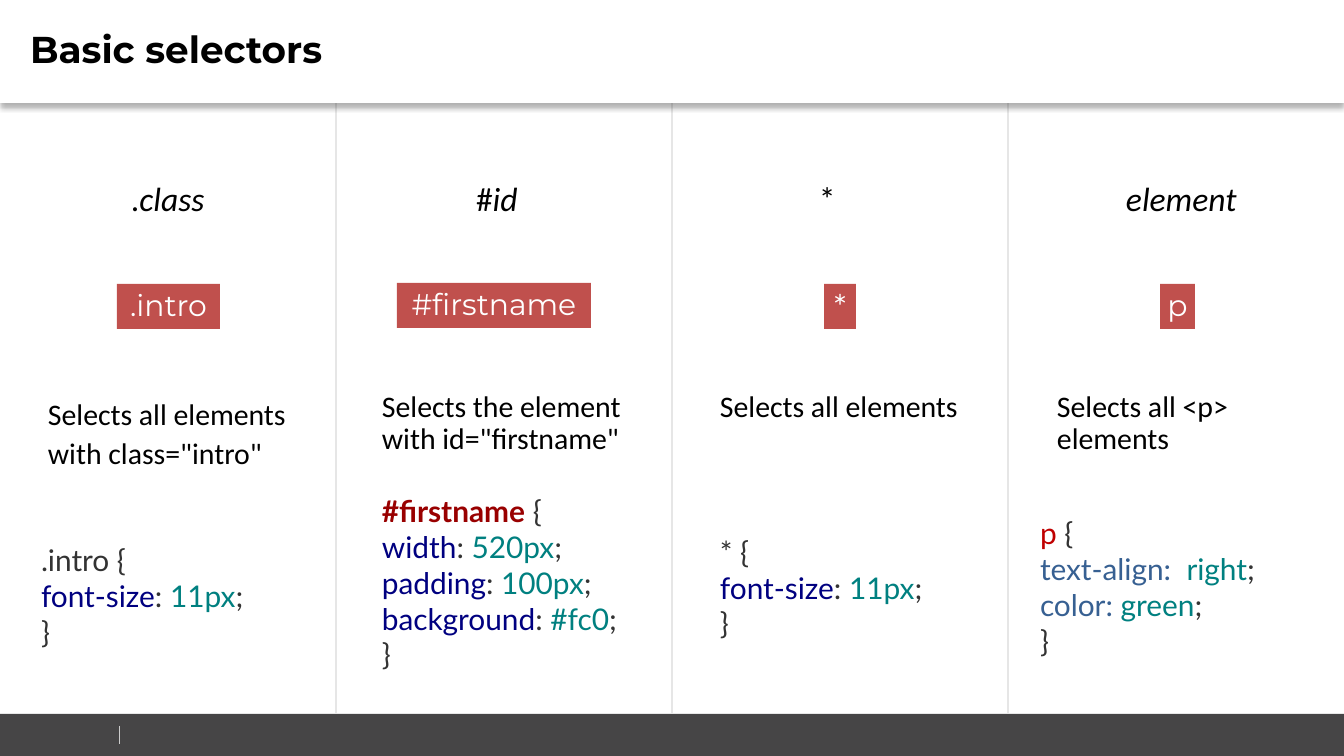
from lxml.etree import SubElement
from pptx import Presentation
from pptx.dml.color import RGBColor
from pptx.enum.shapes import MSO_CONNECTOR as Connector, MSO_SHAPE as Shape
from pptx.enum.text import MSO_ANCHOR as Anchor, MSO_AUTO_SIZE as AutoSize, PP_ALIGN as Align
from pptx.oxml.ns import qn
from pptx.util import Pt

PX = 914400 / 134.4
BLACK, WHITE, DARK, RED = "000000", "FFFFFF", "333333", "C0504D"
NAVY, TEAL, BLUE = "000080", "008080", "376092"
COLUMN = 336
HEADER_HEIGHT, FOOTER_TOP = 103, 714


def px(value):
    return round(value * PX)


def color(hex_text):
    return RGBColor.from_string(hex_text)


def rule(name, value, name_color=NAVY):
    """The spans of one CSS declaration."""
    return [(name, name_color), (": ", DARK), (value, TEAL), (";", DARK)]


def write(para, spans, size=16, font="Calibri", align=Align.LEFT, spacing=1.0, before=0):
    """Fill a paragraph with (text, colour, bold, italic) spans."""
    para.alignment, para.line_spacing, para.space_before = align, spacing, Pt(before)
    properties = para._p.get_or_add_pPr()
    properties.set("marL", "0")
    properties.set("indent", "0")
    SubElement(properties, qn("a:buNone"))
    for text, hex_text, *style in spans:
        bold, italic = (style + [False, False])[:2]
        span = para.add_run()
        span.text = text
        span.font.name, span.font.size = font, Pt(size)
        span.font.bold, span.font.italic = bold, italic
        span.font.color.rgb = color(hex_text)


class SelectorSlide:
    def __init__(self, deck):
        self.page = deck.slides.add_slide(deck.slide_layouts[4])
        self.shapes = self.page.shapes

    def frame(self, shape, insets, anchor=Anchor.TOP, wrap=True):
        frame = shape.text_frame
        frame.auto_size, frame.word_wrap, frame.vertical_anchor = AutoSize.NONE, wrap, anchor
        (frame.margin_left, frame.margin_top,
         frame.margin_right, frame.margin_bottom) = map(px, insets)
        return frame

    def place(self, shape, left, top, width, height):
        shape.left, shape.top = px(left), px(top)
        shape.width, shape.height = px(width), px(height)

    def block(self, left, top, width, height, hex_text):
        box = self.shapes.add_shape(Shape.RECTANGLE, *map(px, (left, top, width, height)))
        box.shadow.inherit = False
        box.fill.solid()
        box.fill.fore_color.rgb = color(hex_text)
        box.line.fill.background()
        return box

    def vertical(self, left, top, bottom, hex_text, weight):
        line = self.shapes.add_connector(Connector.STRAIGHT, *map(px, (left, top, left, bottom)))
        line.line.color.rgb, line.line.width = color(hex_text), Pt(weight)
        SubElement(line._element.spPr, qn("a:effectLst"))

    def title(self, text):
        title = self.shapes.title
        self.place(title, 0, 0, 4 * COLUMN, HEADER_HEIGHT)
        title.fill.solid()
        title.fill.fore_color.rgb = color(WHITE)
        effects = SubElement(title._element.spPr, qn("a:effectLst"))
        shadow = SubElement(effects, qn("a:outerShdw"), blurRad=str(Pt(3.1)),
                            dist=str(Pt(2)), dir="5400000", rotWithShape="0")
        tint = SubElement(shadow, qn("a:srgbClr"), val=BLACK)
        SubElement(tint, qn("a:alpha"), val="29000")
        frame = self.frame(title, (30, 4, 8, 4), Anchor.MIDDLE)
        write(frame.paragraphs[0], [(text, BLACK, True)], 20, "Montserrat", spacing=0.9)
        self.shapes._spTree.append(title._element)  # above the column lines

    def heading(self, left, width, spans):
        box = self.shapes.add_textbox(*map(px, (left, 173, width, 51)))
        write(self.frame(box, (10, 5, 10, 5), wrap=False).paragraphs[0], spans, 18)

    def badge(self, left, top, width, text):
        box = self.block(left, top, width, 45, RED)
        frame = self.frame(box, (8, 5, 8, 5), Anchor.MIDDLE, wrap=False)
        write(frame.paragraphs[0], [(text, WHITE)], 16, "Montserrat", Align.CENTER, 0.9)

    def code(self, frame, lines, gap=0):
        """Add code lines; a gap in points sets them off from a description."""
        for index, spans in enumerate(lines):
            first = index == 0
            para = frame.paragraphs[0] if first and not gap else frame.add_paragraph()
            write(para, spans, font="Lato", before=gap if first else 0)

    def description(self, index, left, height, text, spacing):
        body = self.page.placeholders[index]
        self.place(body, left, 387, 260, height)
        frame = self.frame(body, (10, 5, 10, 5))
        write(frame.paragraphs[0], [(text, BLACK)], spacing=spacing)
        return frame

    def code_box(self, left, top, width, height, lines):
        box = self.shapes.add_textbox(*map(px, (left, top, width, height)))
        self.code(self.frame(box, (13, 7, 13, 7)), lines)


def main():
    deck = Presentation()
    deck.slide_width, deck.slide_height = px(1344), px(756)
    slide = SelectorSlide(deck)

    # Footer, column lines and header
    slide.block(0, FOOTER_TOP, 4 * COLUMN, 756 - FOOTER_TOP, "464546")
    slide.vertical(119, 726, 744, "CCCCCC", 0.25)
    for number in (1, 2, 3):
        slide.vertical(number * COLUMN, HEADER_HEIGHT, FOOTER_TOP, "E6E6E6", 1)
    slide.title("Basic selectors")

    # Selector kinds
    slide.heading(121, 94, [(".", BLACK), ("class", BLACK, False, True)])
    slide.heading(466, 63, [("#", BLACK), ("id", BLACK, False, True)])
    slide.heading(809, 38, [("*", BLACK)])
    slide.heading(1116, 132, [("element", BLACK, False, True)])

    # Example selectors
    for badge in ((117, 284, 103, ".intro"), (397, 283, 194, "#firstname"),
                  (824, 284, 32, "*"), (1160, 284, 35, "p")):
        slide.badge(*badge)

    # Descriptions
    descriptions = (
        (38, 140, 'Selects all elements with class="intro"', 1.1),
        (372, 296, 'Selects the element with id="firstname"', 0.9),
        (710, 296, "Selects all elements", 0.9),
        (1047, 296, "Selects all <p> elements", 0.9),
    )
    frames = [slide.description(index, *row) for index, row in enumerate(descriptions, 1)]

    # Code samples
    close = [("}", DARK)]
    font_size = rule("font-size", "11px")
    slide.code_box(28, 535, 257, 122, [[(".intro {", DARK)], font_size, close])
    slide.code(frames[1], [
        [("#firstname", "990000", True), (" {", DARK)],
        rule("width", "520px"),
        rule("padding", "100px"),
        rule("background", "#fc0"),
        close,
    ], gap=19.5)
    slide.code(frames[2], [[("* {", DARK)], font_size, close], gap=58.5)
    slide.code_box(1027, 508, 290, 159, [
        [("p", "C00000"), (" {", DARK)],
        [("text-align: ", BLUE), (" right", TEAL), (";", DARK)],
        [("color: ", BLUE), ("green", TEAL), (";", DARK)],
        close,
    ])

    deck.save("out.pptx")


if __name__ == "__main__":
    main()
